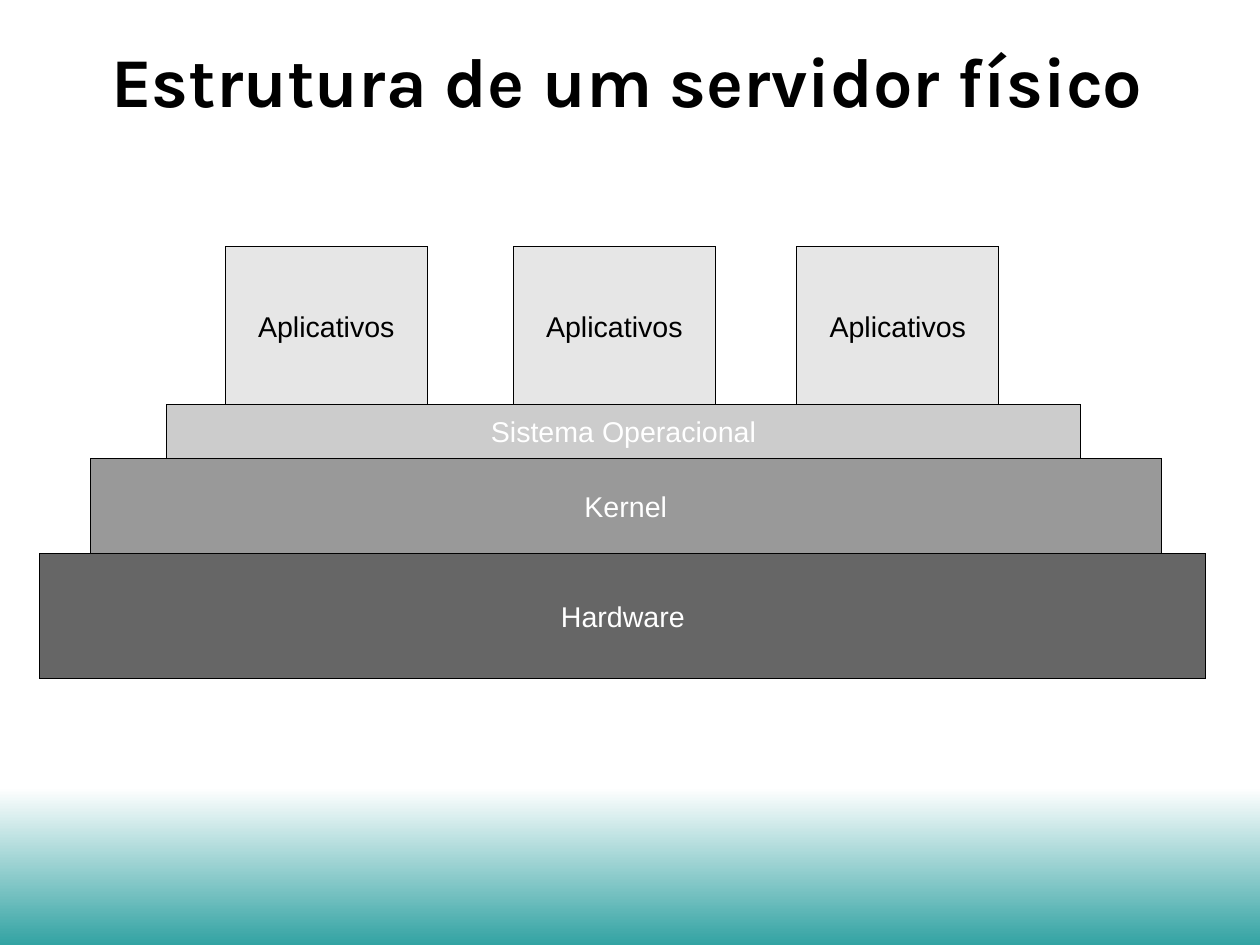
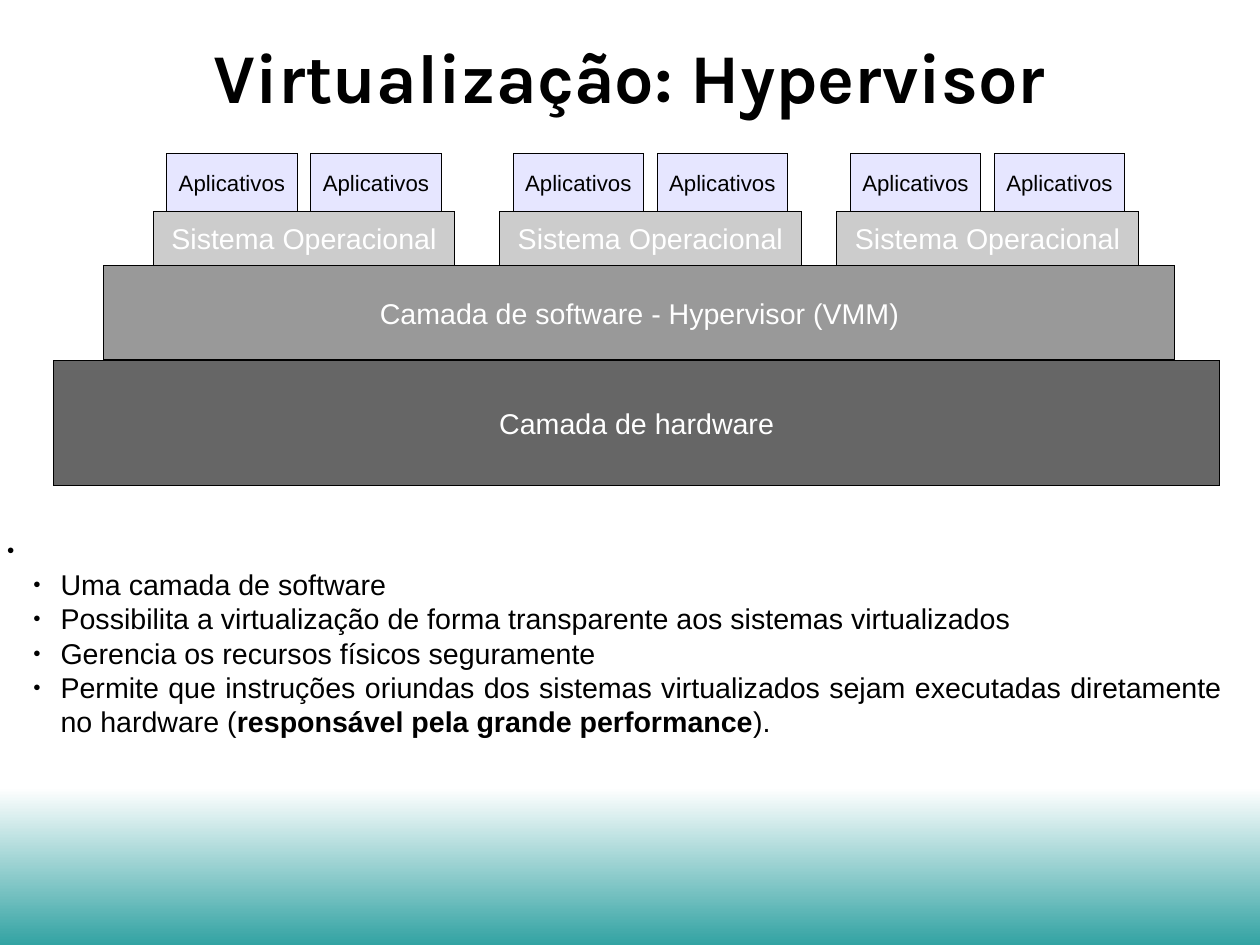
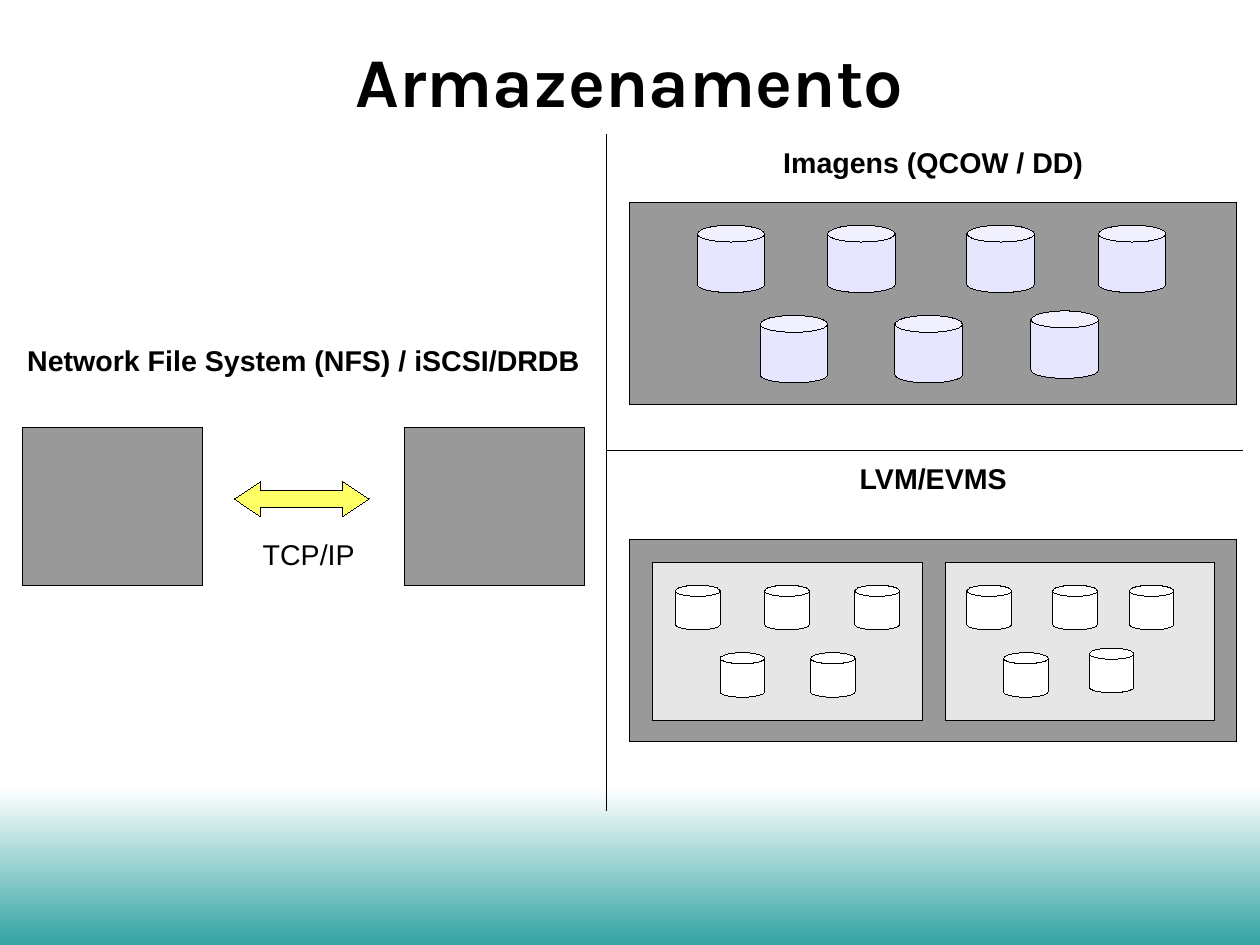
from lxml import etree
from pptx import Presentation
from pptx.dml.color import RGBColor
from pptx.enum.shapes import MSO_CONNECTOR, MSO_SHAPE
from pptx.enum.text import MSO_ANCHOR, MSO_AUTO_SIZE, PP_ALIGN
from pptx.oxml.ns import qn
from pptx.util import Inches, Mm, Pt

RECT, CAN, ARROW = MSO_SHAPE.RECTANGLE, MSO_SHAPE.CAN, MSO_SHAPE.LEFT_RIGHT_ARROW
STRAIGHT = MSO_CONNECTOR.STRAIGHT
TOP, MIDDLE = MSO_ANCHOR.TOP, MSO_ANCHOR.MIDDLE
LEFT, CENTER, JUSTIFY = PP_ALIGN.LEFT, PP_ALIGN.CENTER, PP_ALIGN.JUSTIFY
NO_FIT = MSO_AUTO_SIZE.NONE

WIDTH, HEIGHT = Mm(280), Mm(210)
BAND_SHARE = 1 / 6
HAIRLINE = Pt(0.01)
BODY_FONT, TITLE_FONT = "Arial", "Karla"
COLORS = {
    "ink": "000000", "paper": "FFFFFF", "teal": "33A3A3",
    "hardware": "666666", "kernel": "999999", "system": "CCCCCC",
    "light": "E6E6E6", "lilac": "E6E6FF", "yellow": "FFFF66",
}

SERVER_TITLE = ("Estrutura de um servidor físico", (-0.12, 0.06, 11.22, 1.28))
SERVER_LAYERS = [
    ("Hardware", "hardware", (0.35, 4.84, 10.2, 1.1)),
    ("Kernel", "kernel", (0.79, 4.01, 9.37, 0.83)),
    ("Sistema Operacional", "system", (1.46, 3.54, 7.99, 0.47)),
]
SERVER_APP_LEFTS = [1.97, 4.49, 6.97]

HYPERVISOR_TITLE = ("Virtualização: Hypervisor", (0.55, 0.02, 9.92, 1.28))
HYPERVISOR_LAYERS = [
    ("Camada de hardware", "hardware", (0.47, 3.15, 10.2, 1.1)),
    ("Camada de software - Hypervisor (VMM)", "kernel", (0.91, 2.32, 9.37, 0.83)),
]
GUEST_LEFTS = [1.34, 4.37, 7.32]
GUEST_APP_OFFSETS = [0.12, 1.38]
HYPERVISOR_POINTS = [
    [(" ", True)],
    [("Uma camada de software", False)],
    [("Possibilita a virtualização de forma transparente aos sistemas virtualizados", False)],
    [("Gerencia os recursos físicos seguramente", False)],
    [("Permite que instruções oriundas dos sistemas virtualizados sejam executadas "
      "diretamente no hardware (", False),
     ("responsável pela grande performance", True), (").", False)],
]

STORAGE_TITLE = ("Armazenamento", (0.55, 0.06, 9.92, 1.28))
DIVIDERS = [(5.31, 1.18, 5.31, 7.09), (5.31, 3.94, 10.87, 3.94)]
STORAGE_LABELS = [
    ("Network File System (NFS) / iSCSI/DRDB", (0, 2.95, 5.31, 0.68), True, CENTER),
    ("Imagens (QCOW / DD)", (5.31, 1.22, 5.71, 0.39), True, CENTER),
    ("LVM/EVMS", (5.31, 3.98, 5.71, 0.39), True, CENTER),
    ("TCP/IP", (2.2, 4.65, 1.38, 0.39), False, LEFT),
]
STORAGE_PANELS = [
    ("kernel", (0.2, 3.74, 1.57, 1.38)),
    ("kernel", (3.54, 3.74, 1.57, 1.38)),
    ("kernel", (5.51, 1.77, 5.31, 1.77)),
    ("kernel", (5.51, 4.72, 5.31, 1.77)),
    ("light", (5.71, 4.92, 2.36, 1.38)),
    ("light", (8.27, 4.92, 2.36, 1.38)),
]
DISK_GROUPS = [
    ("lilac", 0.59, [(6.1, 1.97), (7.24, 1.97), (8.46, 1.97), (9.61, 1.97),
                     (6.65, 2.76), (7.83, 2.76), (9.02, 2.72)]),
    ("paper", 0.39, [(5.91, 5.12), (6.69, 5.12), (7.48, 5.12), (6.3, 5.71), (7.09, 5.71),
                     (8.46, 5.12), (9.21, 5.12), (9.88, 5.12), (8.78, 5.71), (9.53, 5.67)]),
]


def rgb(name):
    return RGBColor.from_string(COLORS[name])


def inches(values):
    return [Inches(value) for value in values]


def write(frame, paragraphs, size=18, color="ink", font=BODY_FONT,
          align=CENTER, anchor=MIDDLE):
    frame.word_wrap = True
    frame.auto_size = NO_FIT
    frame.vertical_anchor = anchor
    for index, runs in enumerate(paragraphs):
        paragraph = frame.add_paragraph() if index else frame.paragraphs[0]
        paragraph.alignment = align
        paragraph.space_before = Pt(0)
        for text, bold in runs:
            run = paragraph.add_run()
            run.text = text
            run.font.size = Pt(size)
            run.font.name = font
            run.font.bold = bold
            run.font.color.rgb = rgb(color)


def place(placeholder, box):
    placeholder.left, placeholder.top, placeholder.width, placeholder.height = inches(box)


def add_block(slide, box, fill, text=None, kind=RECT, **style):
    block = slide.shapes.add_shape(kind, *inches(box))
    block.shadow.inherit = False
    block.fill.solid()
    block.fill.fore_color.rgb = rgb(fill)
    block.line.color.rgb = rgb("ink")
    block.line.width = HAIRLINE
    if text:
        write(block.text_frame, [[(text, False)]], **style)
    return block


def add_layers(slide, layers):
    for text, fill, box in layers:
        add_block(slide, box, fill, text, color="paper")


def add_divider(slide, ends):
    divider = slide.shapes.add_connector(STRAIGHT, *inches(ends))
    divider.line.color.rgb = rgb("ink")
    divider.line.width = HAIRLINE
    etree.SubElement(divider.element.spPr, qn("a:effectLst"))


def add_bullet(paragraph, margin, indent):
    properties = paragraph._p.get_or_add_pPr()
    properties.set("marL", str(Inches(margin)))
    properties.set("indent", str(Inches(indent)))
    bullet_color = etree.SubElement(properties, qn("a:buClr"))
    etree.SubElement(bullet_color, qn("a:srgbClr"), val=COLORS["ink"])
    etree.SubElement(properties, qn("a:buSzPct"), val="45000")
    etree.SubElement(properties, qn("a:buFont"), typeface=BODY_FONT)
    etree.SubElement(properties, qn("a:buChar"), char="●")


def add_slide(prs, layout, heading):
    slide = prs.slides.add_slide(prs.slide_layouts[layout])
    text, box = heading
    title = slide.shapes.title
    place(title, box)
    frame = title.text_frame
    frame.margin_left = frame.margin_right = frame.margin_top = frame.margin_bottom = 0
    write(frame, [[(text, True)]], size=44, font=TITLE_FONT)
    return slide


def add_master_band(prs, slide):
    depth = int(HEIGHT * BAND_SHARE)
    band = slide.shapes.add_shape(RECT, 0, HEIGHT - depth, WIDTH, depth)
    band.shadow.inherit = False
    band.line.fill.background()
    band.fill.gradient()
    band.fill.gradient_angle = 270
    for stop, color, position in zip(band.fill.gradient_stops, ("paper", "teal"), (0, 1)):
        stop.color.rgb = rgb(color)
        stop.position = position
    prs.slide_master.shapes.element.insert(2, band.element)


def build_server(prs):
    slide = add_slide(prs, 5, SERVER_TITLE)
    add_master_band(prs, slide)
    add_layers(slide, SERVER_LAYERS)
    for left in SERVER_APP_LEFTS:
        add_block(slide, (left, 2.16, 1.77, 1.38), "light", "Aplicativos")


def build_hypervisor(prs):
    slide = add_slide(prs, 1, HYPERVISOR_TITLE)
    points = slide.placeholders[1]
    place(points, (-0.04, 4.61, 10.83, 2.12))
    write(points.text_frame, HYPERVISOR_POINTS, align=JUSTIFY, anchor=TOP)
    for index, paragraph in enumerate(points.text_frame.paragraphs):
        paragraph.level = 1 if index else 0
        add_bullet(paragraph, *((0.47, -0.24) if index else (0, 0)))
    add_layers(slide, HYPERVISOR_LAYERS)
    for left in GUEST_LEFTS:
        add_block(slide, (left, 1.85, 2.64, 0.47), "system",
                  "Sistema Operacional", color="paper")
        for offset in GUEST_APP_OFFSETS:
            add_block(slide, (left + offset, 1.34, 1.14, 0.51), "lilac",
                      "Aplicativos", size=14)


def build_storage(prs):
    slide = add_slide(prs, 5, STORAGE_TITLE)
    for ends in DIVIDERS:
        add_divider(slide, ends)
    for text, box, bold, align in STORAGE_LABELS:
        label = slide.shapes.add_textbox(*inches(box))
        write(label.text_frame, [[(text, bold)]], align=align, anchor=TOP)
    for fill, box in STORAGE_PANELS:
        add_block(slide, box, fill)
    for fill, side, corners in DISK_GROUPS:
        for left, top in corners:
            add_block(slide, (left, top, side, side), fill, kind=CAN)
    link = add_block(slide, (2.05, 4.21, 1.18, 0.31), "yellow", kind=ARROW)
    link.adjustments[0] = 0.5
    link.adjustments[1] = 0.75


def main():
    prs = Presentation()
    prs.slide_width, prs.slide_height = WIDTH, HEIGHT
    build_server(prs)
    build_hypervisor(prs)
    build_storage(prs)
    prs.save("out.pptx")


if __name__ == "__main__":
    main()
